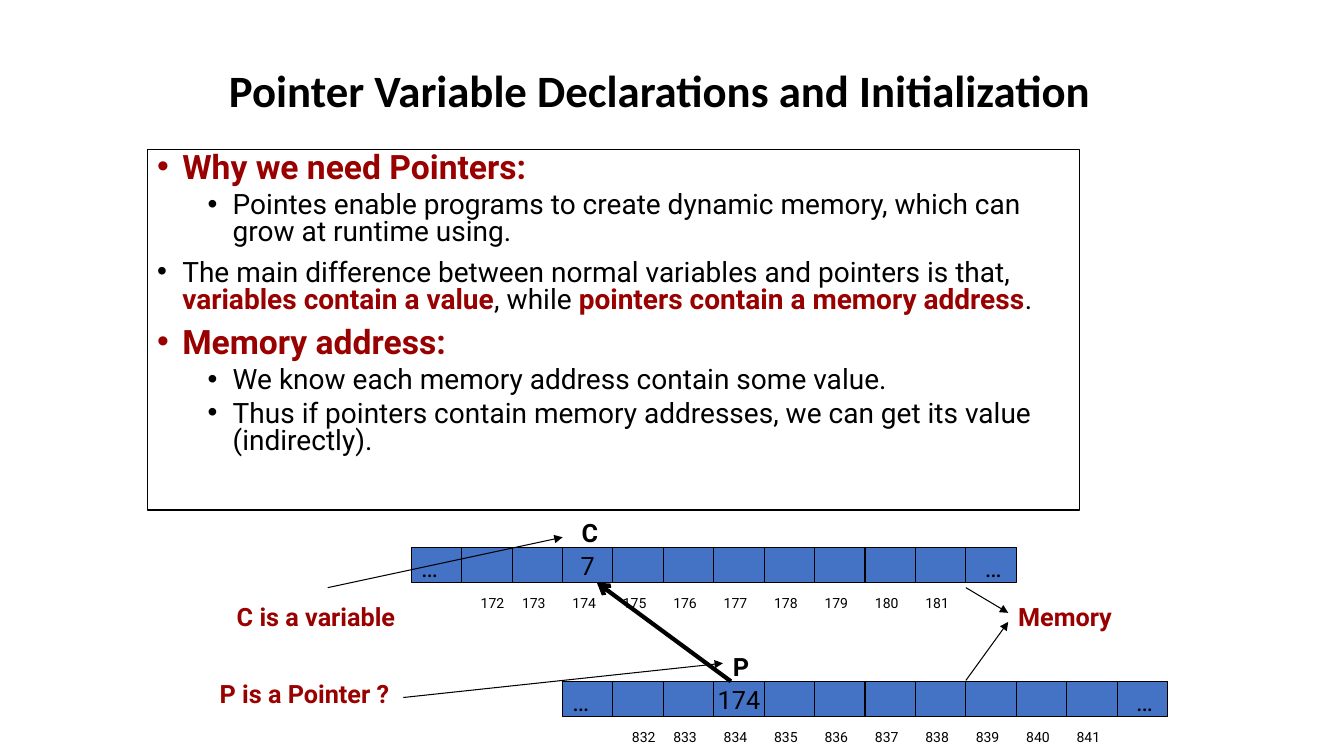
from dataclasses import dataclass
from typing import Any

from lxml.etree import SubElement
from pptx import Presentation
from pptx.dml.color import RGBColor
from pptx.enum.shapes import MSO_CONNECTOR, MSO_SHAPE
from pptx.enum.text import MSO_ANCHOR, PP_ALIGN
from pptx.oxml.ns import qn
from pptx.util import Inches, Pt

BLACK = RGBColor(0x00, 0x00, 0x00)
WHITE = RGBColor(0xFF, 0xFF, 0xFF)
DARK_RED = RGBColor(0x99, 0x00, 0x00)
CELL_BLUE = RGBColor(0x44, 0x72, 0xC4)

TITLE = {"name": "Calibri", "size": Pt(32), "bold": True}
HEADING = {"name": "Roboto", "size": Pt(24), "bold": True}
BODY = {"name": "Roboto", "size": Pt(20), "bold": False}
STRONG = BODY | {"bold": True}
LABEL = {"name": "Roboto", "size": Pt(18), "bold": True}
CELL_VALUE = LABEL | {"bold": False}
ADDRESS = CELL_VALUE | {"size": Pt(10)}

CELL_WIDTH, CELL_HEIGHT, CELL_COUNT, VALUE_CELL = 0.5, 0.35, 12, 3


@dataclass
class Phrase:
    text: str
    style: dict[str, Any]
    color: RGBColor = BLACK


@dataclass
class Bullet:
    phrases: list[Phrase]
    level: int = 0


@dataclass
class MemoryRow:
    variable: str
    value: str
    left: float
    top: float
    first_address: int


@dataclass
class Arrow:
    start: tuple[float, float]
    end: tuple[float, float]
    width: float = 0.75
    head: str = "triangle"


@dataclass
class Caption:
    text: str
    left: float
    top: float
    width: float


BULLETS = [
    Bullet([Phrase("Why we need Pointers:", HEADING, DARK_RED)]),
    Bullet([Phrase("Pointes enable programs to create dynamic memory, "
                   "which can grow at runtime using.", BODY)], 1),
    Bullet([
        Phrase("The main difference between normal variables and pointers is that, ", BODY),
        Phrase("variables contain a value", STRONG, DARK_RED),
        Phrase(", while ", BODY),
        Phrase("pointers contain a memory address", STRONG, DARK_RED),
        Phrase(".", BODY),
    ]),
    Bullet([Phrase("Memory address:", HEADING, DARK_RED)]),
    Bullet([Phrase("We know each memory address contain some value.", BODY)], 1),
    Bullet([Phrase("Thus if pointers contain memory addresses, "
                   "we can get its value (indirectly).", BODY)], 1),
]
ROWS = [MemoryRow("C", "7", 4.08, 5.43, 172), MemoryRow("P", "174", 5.58, 6.76, 832)]
POINTER_ARROW = Arrow((7.25, 6.76), (5.92, 5.78), 3, "arrow")
CAPTION_ARROWS = [
    Arrow((3.25, 5.83), (5.58, 5.33)),
    Arrow((4, 6.92), (7.17, 6.58)),
    Arrow((9.58, 5.83), (10, 6.08)),
    Arrow((9.58, 6.75), (10, 6.17)),
]
CAPTIONS = [
    Caption("C is a variable", 2.25, 5.92, 2),
    Caption("P is a Pointer ?", 2.08, 6.68, 2),
    Caption("Memory", 10, 5.92, 1.17),
]


def add_phrase(paragraph, phrase: Phrase) -> None:
    run = paragraph.add_run()
    run.text = phrase.text
    for attribute, setting in phrase.style.items():
        setattr(run.font, attribute, setting)
    run.font.color.rgb = phrase.color


def add_label(shapes, phrase: Phrase, left: float, top: float,
              width: float, height: float = 0.4) -> None:
    label = shapes.add_textbox(Inches(left), Inches(top), Inches(width), Inches(height))
    label.text_frame.word_wrap = True
    add_phrase(label.text_frame.paragraphs[0], phrase)


def add_rectangle(shapes, left: float, top: float, width: float, height: float,
                  fill: RGBColor):
    rectangle = shapes.add_shape(MSO_SHAPE.RECTANGLE, Inches(left), Inches(top),
                                 Inches(width), Inches(height))
    rectangle.shadow.inherit = False
    rectangle.fill.solid()
    rectangle.fill.fore_color.rgb = fill
    rectangle.line.color.rgb = BLACK
    rectangle.line.width = Pt(0.75)
    return rectangle


def add_arrow(shapes, arrow: Arrow) -> None:
    line = shapes.add_connector(MSO_CONNECTOR.STRAIGHT,
                                *map(Inches, arrow.start + arrow.end))
    line.line.color.rgb = BLACK
    line.line.width = Pt(arrow.width)
    properties = line.element.spPr
    SubElement(properties.get_or_add_ln(), qn("a:tailEnd"), type=arrow.head)
    SubElement(properties, qn("a:effectLst"))


def add_bullets(frame, bullets: list[Bullet]) -> None:
    frame.word_wrap = True
    frame.vertical_anchor = MSO_ANCHOR.TOP
    for index, bullet in enumerate(bullets):
        paragraph = frame.add_paragraph() if index else frame.paragraphs[0]
        properties = paragraph._p.get_or_add_pPr()
        properties.set("marL", str(Inches(0.25 + 0.5 * bullet.level)))
        properties.set("indent", str(Inches(-0.25)))
        SubElement(properties, qn("a:buFont"), typeface="Arial")
        SubElement(properties, qn("a:buChar"), char="•")
        paragraph.level = bullet.level
        paragraph.alignment = PP_ALIGN.LEFT
        paragraph.line_spacing = 0.8
        if index:
            paragraph.space_before = Pt(5 if bullet.level else 10)
        for phrase in bullet.phrases:
            add_phrase(paragraph, phrase)


def add_memory_row(shapes, row: MemoryRow) -> None:
    for index in range(CELL_COUNT):
        cell = add_rectangle(shapes, row.left + index * CELL_WIDTH, row.top,
                             CELL_WIDTH, CELL_HEIGHT, CELL_BLUE)
        if index == VALUE_CELL:
            cell.text_frame.word_wrap = False
            cell.text_frame.vertical_anchor = MSO_ANCHOR.MIDDLE
            cell.text_frame.paragraphs[0].alignment = PP_ALIGN.CENTER
            add_phrase(cell.text_frame.paragraphs[0], Phrase(row.value, CELL_VALUE))
    add_label(shapes, Phrase(row.variable, LABEL), row.left + 1.59, row.top - 0.35, 0.33)
    for offset in (0, 5.59):
        add_label(shapes, Phrase("…", CELL_VALUE), row.left + offset, row.top, 0.33)
    for index in range(CELL_COUNT - 2):
        # The first address sits slightly right of its regular place
        offset = (index + 1) * CELL_WIDTH if index else 0.59
        add_label(shapes, Phrase(str(row.first_address + index), ADDRESS),
                  row.left + offset, row.top + 0.42, CELL_WIDTH, 0.27)


def main() -> None:
    presentation = Presentation()
    presentation.slide_width, presentation.slide_height = Inches(13.33), Inches(7.5)
    slide = presentation.slides.add_slide(presentation.slide_layouts[5])

    # Title
    title = slide.shapes.title
    title.left, title.top = Inches(2.17), Inches(0.42)
    title.width, title.height = Inches(9.25), Inches(1)
    title.text_frame.vertical_anchor = MSO_ANCHOR.MIDDLE
    heading = title.text_frame.paragraphs[0]
    heading.alignment = PP_ALIGN.LEFT
    heading.line_spacing = 0.9
    add_phrase(heading, Phrase("Pointer Variable Declarations and Initialization", TITLE))

    # Explanation
    explanation = add_rectangle(slide.shapes, 1.46, 1.48, 9.25, 3.58, WHITE)
    add_bullets(explanation.text_frame, BULLETS)

    # Memory rows and the pointer between them
    memory = slide.shapes.add_group_shape()
    for row in ROWS:
        add_memory_row(memory.shapes, row)
    add_arrow(memory.shapes, POINTER_ARROW)

    # Captions and their arrows
    for arrow in CAPTION_ARROWS:
        add_arrow(slide.shapes, arrow)
    for caption in CAPTIONS:
        add_label(slide.shapes, Phrase(caption.text, LABEL, DARK_RED),
                  caption.left, caption.top, caption.width)

    presentation.save("out.pptx")


if __name__ == "__main__":
    main()
